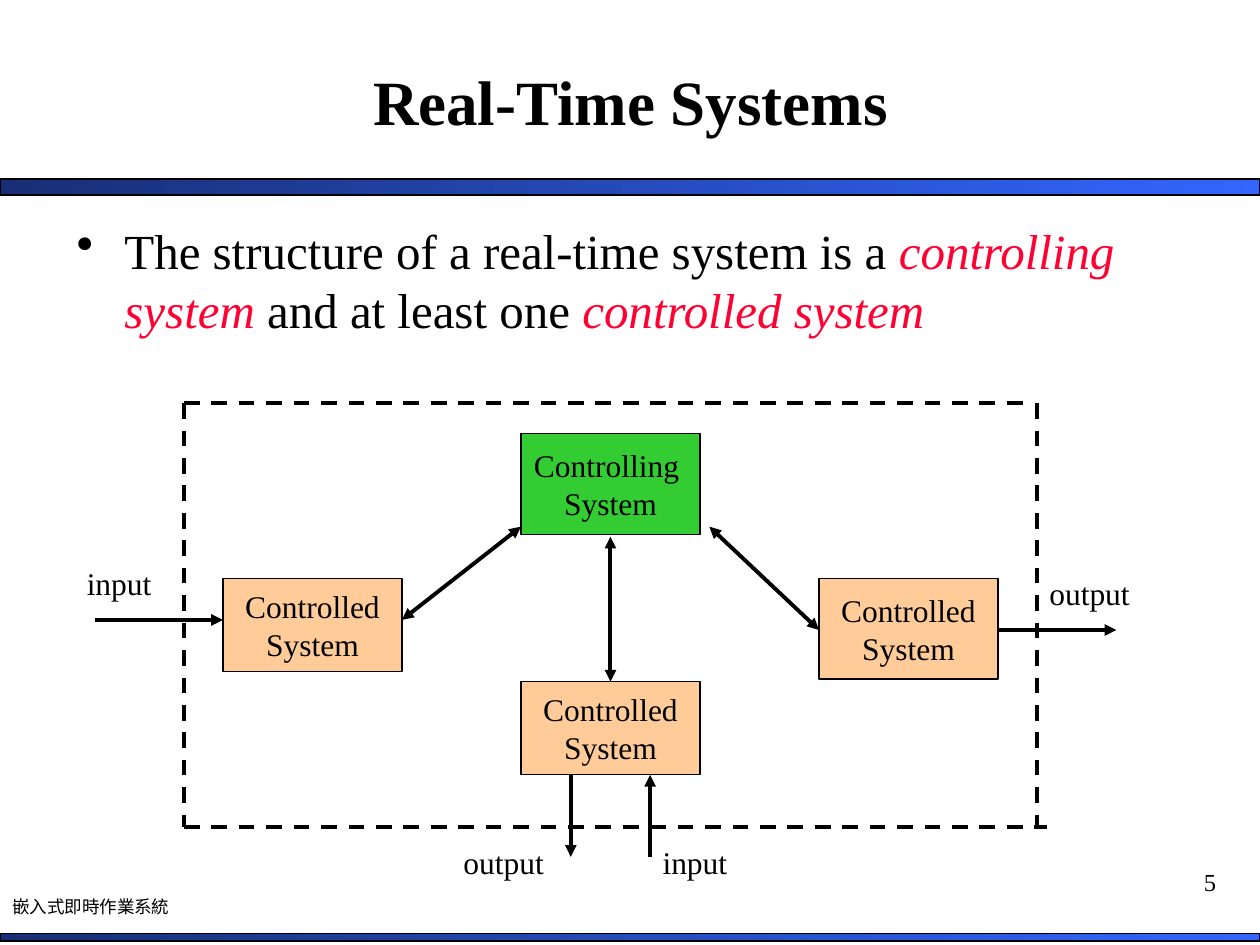
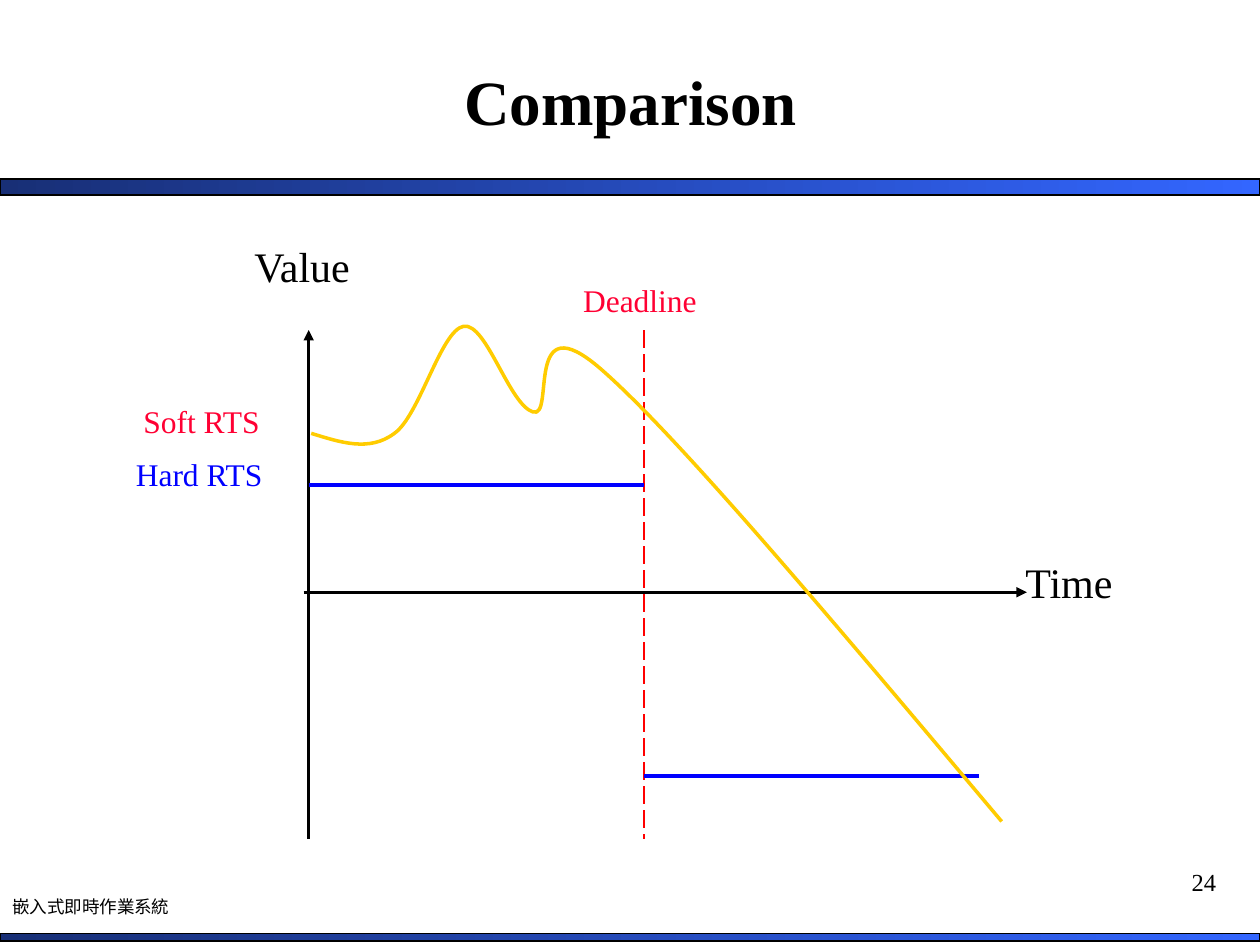
from dataclasses import dataclass
from typing import Optional

from lxml import etree
from pptx import Presentation
from pptx import slide as sl
from pptx import util as u
from pptx.dml import color, line
from pptx.enum import dml, shapes, text
from pptx.oxml import ns
from pptx.shapes import autoshape
from pptx.text import text as tx

RGBColor = color.RGBColor
BLACK = RGBColor(0x00, 0x00, 0x00)
NAVY = RGBColor(0x18, 0x2F, 0x76)
ROYAL = RGBColor(0x33, 0x66, 0xFF)
CRIMSON = RGBColor(0xFF, 0x00, 0x33)
RED = RGBColor(0xFF, 0x00, 0x00)
BLUE = RGBColor(0x00, 0x00, 0xFF)
GOLD = RGBColor(0xFF, 0xCC, 0x00)
GREEN = RGBColor(0x33, 0xCC, 0x33)
PEACH = RGBColor(0xFF, 0xCC, 0x99)

FONT = "Times New Roman"
FOOTER = "嵌入式即時作業系統"
WIDTH, HEIGHT = u.Inches(10), u.Inches(7.5)
COLUMNS, ROWS = 100, 75
DASH, LONG_DASH = dml.MSO_LINE.DASH, dml.MSO_LINE.LONG_DASH


@dataclass(frozen=True)
class Area:
    col: float
    row: float
    cols: float
    rows: float


@dataclass(frozen=True)
class Phrase:
    words: str
    size: float = 18
    ink: RGBColor = BLACK
    bold: bool = False
    italic: bool = False


@dataclass(frozen=True)
class Label:
    phrase: Phrase
    area: Area


@dataclass(frozen=True)
class Block:
    lines: tuple[str, ...]
    area: Area
    fill: RGBColor


@dataclass(frozen=True)
class Stroke:
    start: tuple[float, float]
    end: tuple[float, float]
    ink: RGBColor = BLACK
    weight: float = 2.25
    dash: Optional[dml.MSO_LINE] = None
    head: bool = False
    tail: bool = False


def x(cols: float) -> int:
    return round(WIDTH * cols / COLUMNS)


def y(rows: float) -> int:
    return round(HEIGHT * rows / ROWS)


def place(area: Area) -> tuple[int, int, int, int]:
    return x(area.col), y(area.row), x(area.cols), y(area.rows)


def add_phrase(paragraph: tx._Paragraph, phrase: Phrase) -> None:
    run = paragraph.add_run()
    run.text = phrase.words
    font = run.font
    font.name, font.size = FONT, u.Pt(phrase.size)
    font.bold, font.italic = phrase.bold, phrase.italic
    font.color.rgb = phrase.ink


def add_text(slide: sl.Slide, area: Area, *phrases: Phrase, wrap: bool = True,
             align: text.PP_ALIGN = text.PP_ALIGN.LEFT) -> tx.TextFrame:
    frame = slide.shapes.add_textbox(*place(area)).text_frame
    frame.word_wrap = wrap
    paragraph = frame.paragraphs[0]
    paragraph.alignment = align
    for phrase in phrases:
        add_phrase(paragraph, phrase)
    return frame


def add_label(slide: sl.Slide, label: Label) -> None:
    frame = add_text(slide, label.area, label.phrase, wrap=False)
    frame.auto_size = text.MSO_AUTO_SIZE.SHAPE_TO_FIT_TEXT


def add_rectangle(slide: sl.Slide, area: Area, weight: float) -> autoshape.Shape:
    rectangle = slide.shapes.add_shape(shapes.MSO_SHAPE.RECTANGLE, *place(area))
    rectangle.shadow.inherit = False
    rectangle.line.color.rgb = BLACK
    rectangle.line.width = u.Pt(weight)
    return rectangle


def add_band(slide: sl.Slide, area: Area) -> None:
    fill = add_rectangle(slide, area, 1).fill
    fill.gradient()
    fill.gradient_angle = 0
    for stop, shade in zip(fill.gradient_stops, (NAVY, ROYAL)):
        stop.color.rgb = shade


def add_block(slide: sl.Slide, block: Block) -> None:
    rectangle = add_rectangle(slide, block.area, 0.75)
    rectangle.fill.solid()
    rectangle.fill.fore_color.rgb = block.fill
    frame = rectangle.text_frame
    frame.word_wrap = False
    frame.vertical_anchor = text.MSO_ANCHOR.MIDDLE
    for index, words in enumerate(block.lines):
        paragraph = frame.add_paragraph() if index else frame.paragraphs[0]
        paragraph.alignment = text.PP_ALIGN.CENTER
        add_phrase(paragraph, Phrase(words))


def style_line(outline: line.LineFormat, ink: RGBColor, weight: float) -> None:
    outline.color.rgb = ink
    outline.width = u.Pt(weight)


def add_stroke(slide: sl.Slide, stroke: Stroke) -> None:
    (x1, y1), (x2, y2) = stroke.start, stroke.end
    connector = slide.shapes.add_connector(
        shapes.MSO_CONNECTOR.STRAIGHT, x(x1), y(y1), x(x2), y(y2))
    style_line(connector.line, stroke.ink, stroke.weight)
    if stroke.dash:
        connector.line.dash_style = stroke.dash
    properties = connector._element.spPr
    outline = properties.find(ns.qn("a:ln"))
    for tag, shown in (("a:headEnd", stroke.head), ("a:tailEnd", stroke.tail)):
        if shown:
            etree.SubElement(outline, ns.qn(tag), type="triangle")
    etree.SubElement(properties, ns.qn("a:effectLst"))


def add_curve(slide: sl.Slide, points: list[tuple[float, float]],
              ink: RGBColor, weight: float) -> None:
    start, *controls = [(x(col), y(row)) for col, row in points]
    builder = slide.shapes.build_freeform(*start)
    builder.add_line_segments(controls, close=False)
    curve = builder.convert_to_shape()
    curve.shadow.inherit = False
    curve.fill.background()
    style_line(curve.line, ink, weight)
    segments = list(curve._element.iter(ns.qn("a:lnTo")))
    outline = segments[0].getparent()
    for first in range(0, len(segments), 3):
        bezier = etree.SubElement(outline, ns.qn("a:cubicBezTo"))
        for segment in segments[first:first + 3]:
            bezier.append(segment[0])
            outline.remove(segment)


def add_bullet(paragraph: tx._Paragraph, indent: int) -> None:
    properties = paragraph._p.get_or_add_pPr()
    properties.set("marL", str(indent))
    properties.set("indent", str(-indent))
    etree.SubElement(properties, ns.qn("a:buChar"), char="•")


def start_slide(deck: Presentation, title: str, number: int) -> sl.Slide:
    slide = deck.slides.add_slide(deck.slide_layouts[6])
    add_band(slide, Area(0, 14.2, COLUMNS, 1.3))
    add_band(slide, Area(0, 74.1, COLUMNS, 0.6))
    add_label(slide, Label(Phrase(FOOTER, 10), Area(0, 70.6, 14.5, 2.7)))
    add_text(slide, Area(87.5, 68.3, 10, 5), Phrase(str(number), 14),
             align=text.PP_ALIGN.RIGHT)
    heading = add_text(slide, Area(4.2, 1.7, 91.7, 12.5), Phrase(title, 36, bold=True),
                       align=text.PP_ALIGN.CENTER)
    heading.vertical_anchor = text.MSO_ANCHOR.MIDDLE
    heading.margin_left = heading.margin_right = 0
    return slide


def build_structure(deck: Presentation) -> None:
    slide = start_slide(deck, "Real-Time Systems", 5)
    statement = add_text(
        slide, Area(5.1, 17, 90, 12.6),
        Phrase("The structure of a real-time system is a ", 28),
        Phrase("controlling system", 28, CRIMSON, italic=True),
        Phrase(" and at least one ", 28),
        Phrase("controlled system", 28, CRIMSON, italic=True))
    add_bullet(statement.paragraphs[0], x(3.8))

    block_cols, tall, short = 14.2, 8, 7.4
    left, middle, right = (17.7 + 23.65 * step for step in range(3))
    center = middle + block_cols / 2
    controlled = ("Controlled", "System")
    for block in (
        Block(("Controlling ", "System"), Area(middle, 34.4, block_cols, tall), GREEN),
        Block(controlled, Area(right, 45.9, block_cols, tall), PEACH),
        Block(controlled, Area(middle, 54.1, block_cols, short), PEACH),
        Block(controlled, Area(left, 45.9, block_cols, short), PEACH),
    ):
        add_block(slide, block)

    frame_left, frame_right, frame_top, frame_bottom = 14.6, 82.3, 32, 65.6
    input_row, output_row, exchange_top, exchange_end = 49.2, 50, 61.5, 68
    for stroke in (
        Stroke((middle, 41.8), (left + block_cols, input_row), head=True, tail=True),
        Stroke((56.3, 41.8), (right, output_row), head=True, tail=True),
        Stroke((center, 42.6), (center, 54.1), head=True, tail=True),
        Stroke((frame_left, frame_top), (frame_left, frame_bottom), dash=DASH),
        Stroke((frame_left, frame_top), (frame_right - 0.8, frame_top), dash=DASH),
        Stroke((frame_right, frame_top), (frame_right, frame_bottom), dash=DASH),
        Stroke((frame_left, frame_bottom), (frame_right + 0.8, frame_bottom), dash=DASH),
        Stroke((right + block_cols, output_row), (88.6, output_row), tail=True),
        Stroke((7.5, input_row), (left, input_row), tail=True),
        Stroke((45.3, exchange_top), (45.3, exchange_end), tail=True),
        Stroke((51.6, exchange_top), (51.6, exchange_end), head=True),
    ):
        add_stroke(slide, stroke)

    for label in (
        Label(Phrase("output"), Area(82.3, 45.1, 8.4, 4)),
        Label(Phrase("input"), Area(5.9, 44.3, 7.2, 4)),
        Label(Phrase("output"), Area(35.8, 66.4, 8.4, 4)),
        Label(Phrase("input"), Area(51.6, 66.4, 7.2, 4)),
    ):
        add_label(slide, label)


def build_comparison(deck: Presentation) -> None:
    slide = start_slide(deck, "Comparison", 24)
    plot_top, plot_bottom, origin, deadline = 26.2, 66.6, 24.5, 51.1
    for stroke in (
        Stroke((origin, plot_top), (origin, plot_bottom), weight=1.5, head=True),
        Stroke((24.1, 47), (81.5, 47), weight=1.5, tail=True),
        Stroke((deadline, plot_top), (deadline, plot_bottom), RED, 1.25, LONG_DASH),
        Stroke((origin, 38.5), (deadline, 38.5), BLUE, 2),
        Stroke((deadline, 61.6), (77.7, 61.6), BLUE, 2),
    ):
        add_stroke(slide, stroke)

    for label in (
        Label(Phrase("Time", 24), Area(80.4, 43.7, 9, 5)),
        Label(Phrase("Value", 24), Area(19.2, 18.6, 10, 5)),
        Label(Phrase("Hard RTS", ink=BLUE), Area(9.8, 35.6, 12.2, 4)),
        Label(Phrase("Soft RTS", ink=CRIMSON), Area(10.4, 31.4, 11.4, 4)),
        Label(Phrase("Deadline", ink=CRIMSON), Area(45.3, 21.8, 11, 4)),
    ):
        add_label(slide, label)

    soft_value = [
        (24.7, 34.4),
        (27, 35.1), (29.3, 35.9), (31.3, 34.4),
        (33.3, 33), (35, 26.2), (36.8, 25.9),
        (38.6, 25.6), (40.4, 32.1), (42.3, 32.7),
        (44.1, 33.3), (41.5, 23.9), (47.7, 29.3),
        (53.9, 34.7), (66.7, 50), (79.5, 65.2),
    ]
    add_curve(slide, soft_value, GOLD, 2)


def main() -> None:
    deck = Presentation()
    deck.slide_width, deck.slide_height = WIDTH, HEIGHT
    build_structure(deck)
    build_comparison(deck)
    deck.save("out.pptx")


if __name__ == "__main__":
    main()
